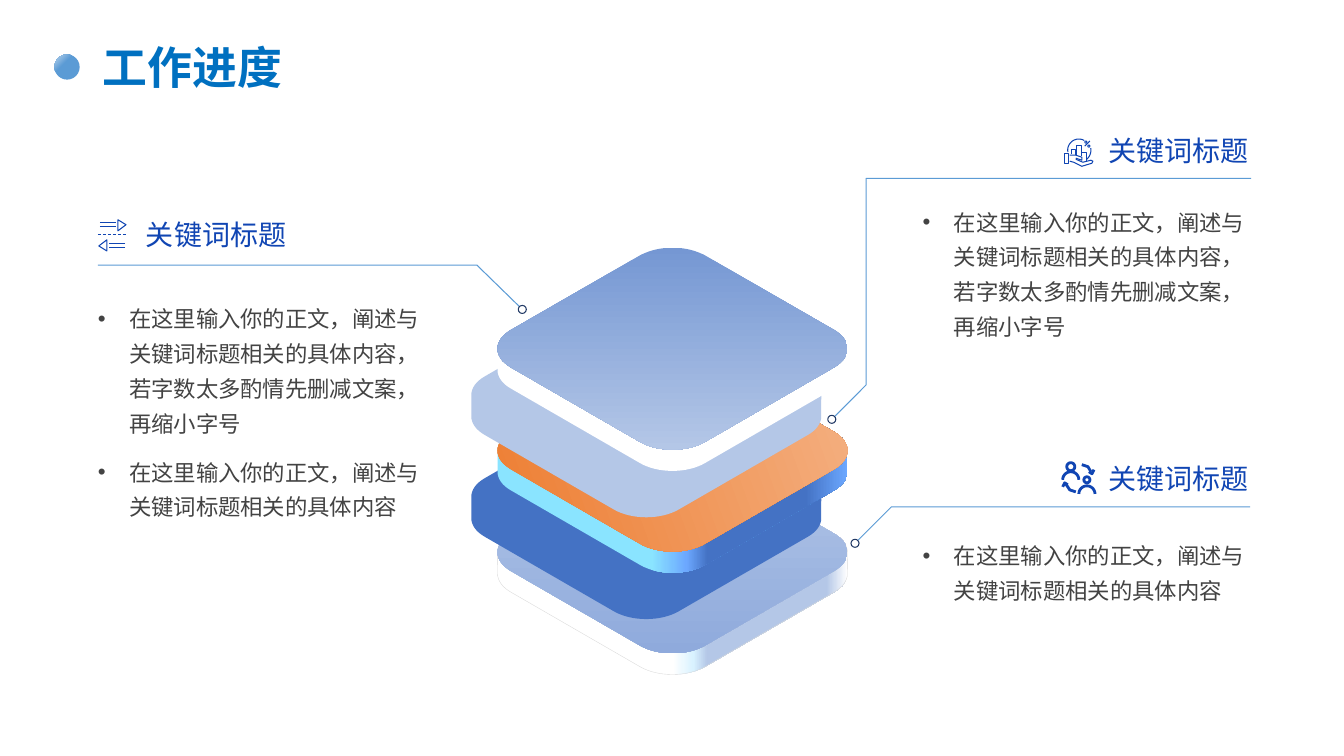
from math import cos, radians, sin, sqrt

from lxml import etree
from pptx import Presentation
from pptx.dml.color import RGBColor
from pptx.enum.shapes import MSO_SHAPE
from pptx.enum.text import MSO_ANCHOR, MSO_AUTO_SIZE, PP_ALIGN
from pptx.oxml.ns import qn
from pptx.util import Inches, Pt

OVAL = MSO_SHAPE.OVAL
LEFT, RIGHT = PP_ALIGN.LEFT, PP_ALIGN.RIGHT
TOP, MIDDLE = MSO_ANCHOR.TOP, MSO_ANCHOR.MIDDLE
NO_AUTOFIT = MSO_AUTO_SIZE.NONE
FONT = "Noto Sans CJK SC"
COLORS = {"title": "0070C0", "heading": "1045B3", "body": "434343", "leader": "5B9BD5",
          "marker": "203864", "highlight": "BDD7EE", "pale": "B4C7E7", "edge": "D9D9D9",
          "royal": "4472C4", "sky": "7597D3", "mist": "8FAADC", "orange": "ED7D31",
          "peach": "F4B183", "cyan": "8AE4FF", "glow": "6CA8FF", "ice": "D9F2FF",
          "white": "FFFFFF"}
SHORT_TEXT = "在这里输入你的正文，阐述与关键词标题相关的具体内容"
LONG_TEXT = SHORT_TEXT + "，若字数太多酌情先删减文案，再缩小字号"


def rgb(name):
    return RGBColor.from_string(COLORS[name])


def paint(shape, fill=None, line=None, width=0.75):
    shape.shadow.inherit = False
    if fill:
        shape.fill.solid()
        shape.fill.fore_color.rgb = rgb(fill)
    else:
        shape.fill.background()
    if line:
        shape.line.color.rgb = rgb(line)
        shape.line.width = Pt(width)
    else:
        shape.line.fill.background()


def paint_gradient(shape, stops, angle=None):
    """Fill with (percent, colour) stops, radial from the top left without an angle."""
    shape.fill.gradient()
    gradient = shape.element.spPr.find(qn("a:gradFill"))
    for child in list(gradient):
        gradient.remove(child)
    stop_list = etree.SubElement(gradient, qn("a:gsLst"))
    for position, color in stops:
        stop = etree.SubElement(stop_list, qn("a:gs"), pos=str(position * 1000))
        etree.SubElement(stop, qn("a:srgbClr"), val=COLORS[color])
    if angle is None:
        radial = etree.SubElement(gradient, qn("a:path"), path="circle")
        etree.SubElement(radial, qn("a:fillToRect"), r="100000", b="100000")
    else:
        etree.SubElement(gradient, qn("a:lin"), ang=str(angle * 60000), scaled="0")


def format_text(paragraph, size, color, bold=False):
    for run in paragraph.runs:
        run.font.size = Pt(size)
        run.font.bold = bold
        run.font.name = FONT
        run.font.color.rgb = rgb(color)
        etree.SubElement(run.font._element, qn("a:ea"), typeface=FONT)


def place(shape, box):
    shape.left, shape.top, shape.width, shape.height = map(Inches, box)


def add_outline(slide, strokes, left=0, top=0, close=False):
    """One freeform made of several strokes, in inches from left and top."""
    builder = None
    for stroke in strokes:
        points = [(Inches(left + x), Inches(top + y)) for x, y in stroke]
        if builder is None:
            builder = slide.shapes.build_freeform(*points[0])
        else:
            builder.move_to(*points[0])
        builder.add_line_segments(points[1:], close=close)
    return builder.convert_to_shape()


def arc(x, y, radius, start=0, end=360):
    angles = [radians(start + (end - start) * i / 16) for i in range(17)]
    return [(x + radius * cos(a), y + radius * sin(a)) for a in angles]


# Icons, as strokes from the top left of each icon
def exchange_icon():
    arrow = [[(0.02, 0.04), (0.18, 0.04)], [(0.02, 0.08), (0.18, 0.08)],
             [(0.2, 0.01), (0.28, 0.06), (0.2, 0.12), (0.2, 0.01)]]
    turned = [[(0.29 - x, 0.33 - y) for x, y in stroke] for stroke in arrow]
    dashes = [[(0.05 * i, 0.16), (0.05 * i + 0.03, 0.16)] for i in range(6)]
    return arrow + dashes + turned


def growth_icon():
    return [
        [(0.08, 0.16), (0.08, 0.11), (0.12, 0.11), (0.12, 0.17)],
        [(0.13, 0.17), (0.13, 0.07), (0.18, 0.07), (0.18, 0.18)],
        [(0.18, 0.14), (0.23, 0.14), (0.23, 0.23)],
        [(0.01, 0.15), (0.05, 0.15), (0.05, 0.25), (0.01, 0.25), (0.01, 0.15)],
        [(0.06, 0.17), (0.12, 0.17), (0.18, 0.19), (0.18, 0.22), (0.12, 0.2)],
        [(0.06, 0.23), (0.1, 0.24), (0.18, 0.28), (0.28, 0.25), (0.29, 0.23),
         (0.27, 0.22), (0.19, 0.24), (0.12, 0.21)],
        arc(0.15, 0.12, 0.11, 170, 300), arc(0.15, 0.12, 0.12, -10, 50),
        [(0.21, 0.08), (0.26, 0.03)],
        arc(0.22, 0.04, 0.01), arc(0.25, 0.08, 0.01)]


def people_icon():
    return [
        arc(0.09, 0.05, 0.04), arc(0.09, 0.18, 0.08, 180, 360),
        arc(0.25, 0.18, 0.03), arc(0.25, 0.32, 0.08, 180, 360),
        [(0.2, 0.03), (0.26, 0.05), (0.29, 0.1)],
        [(0.27, 0.1), (0.3, 0.12), (0.32, 0.08)],
        [(0.14, 0.3), (0.08, 0.28), (0.04, 0.22)],
        [(0.01, 0.25), (0.03, 0.21), (0.06, 0.23)]]


def add_title(slide, left, top):
    dot = slide.shapes.add_shape(OVAL, *map(Inches, (left, top + 0.14, 0.25, 0.25)))
    paint(dot)
    paint_gradient(dot, [(0, "highlight"), (38, "leader"), (85, "leader")])
    title = slide.shapes.title
    place(title, (left + 0.38, top, 2.19, 0.59))
    frame = title.text_frame
    frame.text = "工作进度"
    frame.auto_size, frame.vertical_anchor = NO_AUTOFIT, MIDDLE
    paragraph = frame.paragraphs[0]
    paragraph.alignment, paragraph.line_spacing = LEFT, 0.9
    format_text(paragraph, 32, "title", True)


def add_heading(slide, left, top, alignment):
    heading = slide.shapes.add_textbox(*map(Inches, (left, top, 2.46, 0.44)))
    heading.text_frame.word_wrap = True
    paragraph = heading.text_frame.paragraphs[0]
    paragraph.text = "关键词标题"
    paragraph.alignment = alignment
    format_text(paragraph, 20, "heading")


def add_bullet(body, box, text):
    place(body, box)
    frame = body.text_frame
    frame.text = text
    frame.auto_size, frame.vertical_anchor, frame.word_wrap = NO_AUTOFIT, TOP, True
    frame.margin_left = frame.margin_top = frame.margin_right = frame.margin_bottom = 0
    paragraph = frame.paragraphs[0]
    properties = paragraph._p.get_or_add_pPr()
    properties.set("marL", str(Inches(0.31)))
    properties.set("indent", str(-Inches(0.31)))
    etree.SubElement(properties, qn("a:buFont"), typeface="Arial")
    etree.SubElement(properties, qn("a:buChar"), char="•")
    paragraph.alignment, paragraph.line_spacing = LEFT, 1.3
    paragraph.space_before = paragraph.space_after = Pt(0)
    format_text(paragraph, 16, "body")


def add_layer(slide, left, top, size, face, angle, side, shadow=None, edge=None):
    """Isometric rounded plate over a square box, with its side and cast shadow."""
    depth, radius = 0.21, size / 6
    reach = (size / 2 - radius) * sqrt(2)
    center_x, center_y = left + size / 2, top + size / 2
    outline = []
    for corner in range(0, 360, 90):
        a = radians(corner)
        outline += arc(reach * cos(a), reach * sin(a), radius, corner - 45, corner + 45)
    outline = [(x, y / sqrt(3)) for x, y in outline]
    body = [(x, y + depth if y > 0 else y) for x, y in outline]
    if shadow:
        cast = add_outline(slide, [body], center_x - 0.26, center_y + 0.46, True)
        paint(cast, shadow)
    block = add_outline(slide, [body], center_x, center_y, True)
    paint(block, line=edge, width=0.25)
    paint_gradient(block, side, 0)
    plate = add_outline(slide, [outline], center_x, center_y, True)
    paint(plate)
    paint_gradient(plate, face, angle)


def add_stack(slide, left, top, size):
    step = 1.01
    add_layer(slide, left, top + 2 * step, size, [(0, "pale"), (100, "mist")], 90,
              [(0, "white"), (50, "white"), (56, "ice"), (60, "pale"), (94, "pale"),
               (100, "white")], edge="edge")
    add_layer(slide, left, top + step, size, [(0, "orange"), (100, "peach")], 340,
              [(0, "cyan"), (44, "cyan"), (54, "glow"), (60, "royal"), (88, "royal"),
               (100, "glow")], "royal")
    add_layer(slide, left, top, size, [(0, "sky"), (100, "pale")], 90,
              [(0, "white"), (100, "white")], "pale")


def add_leader(slide, points, end):
    paint(add_outline(slide, [points]), line="leader")
    x, y = end
    marker = slide.shapes.add_shape(OVAL, *map(Inches, (x - 0.04, y - 0.04, 0.08, 0.08)))
    paint(marker, line="marker")


def add_icon(slide, strokes, left, top, width):
    paint(add_outline(slide, strokes, left, top), line="heading", width=width)


def main():
    presentation = Presentation()
    presentation.slide_width, presentation.slide_height = Inches(13.33), Inches(7.5)
    slide = presentation.slides.add_slide(presentation.slide_layouts[4])
    add_title(slide, 0.54, 0.4)

    # Text blocks
    bodies = [shape for shape in slide.placeholders if shape.placeholder_format.idx > 0]
    blocks = [(0.97, 2.95, 1.37, LONG_TEXT), (0.97, 4.47, 0.68, SHORT_TEXT),
              (9.15, 1.99, 1.37, LONG_TEXT), (9.15, 5.3, 0.68, SHORT_TEXT)]
    for body, (left, top, height, text) in zip(bodies, blocks):
        add_bullet(body, (left, top, 3.33, height), text)
    for left, top, alignment in [(1.35, 2.11, LEFT), (10.02, 1.28, RIGHT), (10.02, 4.53, RIGHT)]:
        add_heading(slide, left, top, alignment)

    # Icons, layers and leader lines
    add_icon(slide, exchange_icon(), 0.97, 2.17, 0.75)
    add_icon(slide, growth_icon(), 10.55, 1.37, 0.75)
    add_icon(slide, people_icon(), 10.53, 4.58, 2)
    add_stack(slide, 5.31, 2.1, 2.72)
    add_leader(slide, [(0.97, 2.63), (4.73, 2.63), (5.15, 3.04)], (5.18, 3.07))
    add_leader(slide, [(8.28, 4.13), (8.59, 3.82), (8.59, 1.77), (12.41, 1.77)], (8.25, 4.16))
    add_leader(slide, [(8.51, 5.36), (8.84, 5.03), (12.4, 5.03)], (8.48, 5.39))
    presentation.save("out.pptx")


if __name__ == "__main__":
    main()
